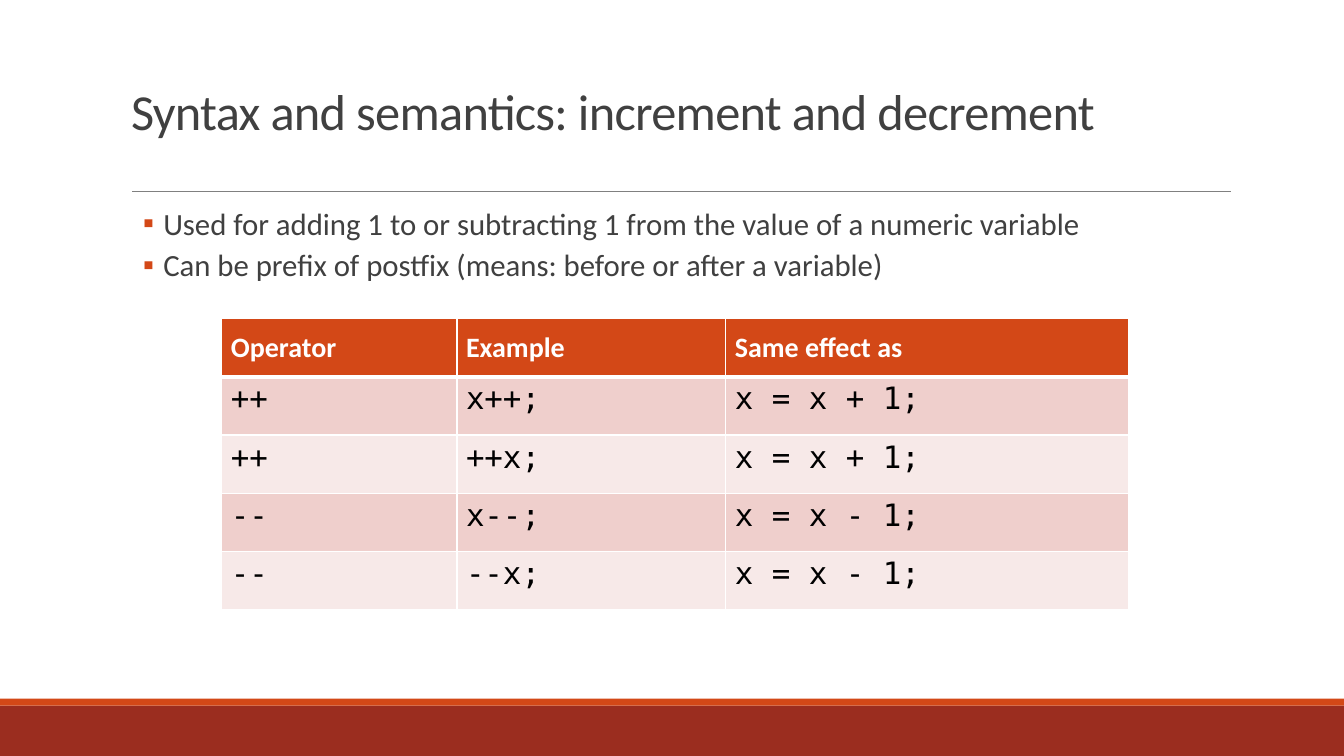
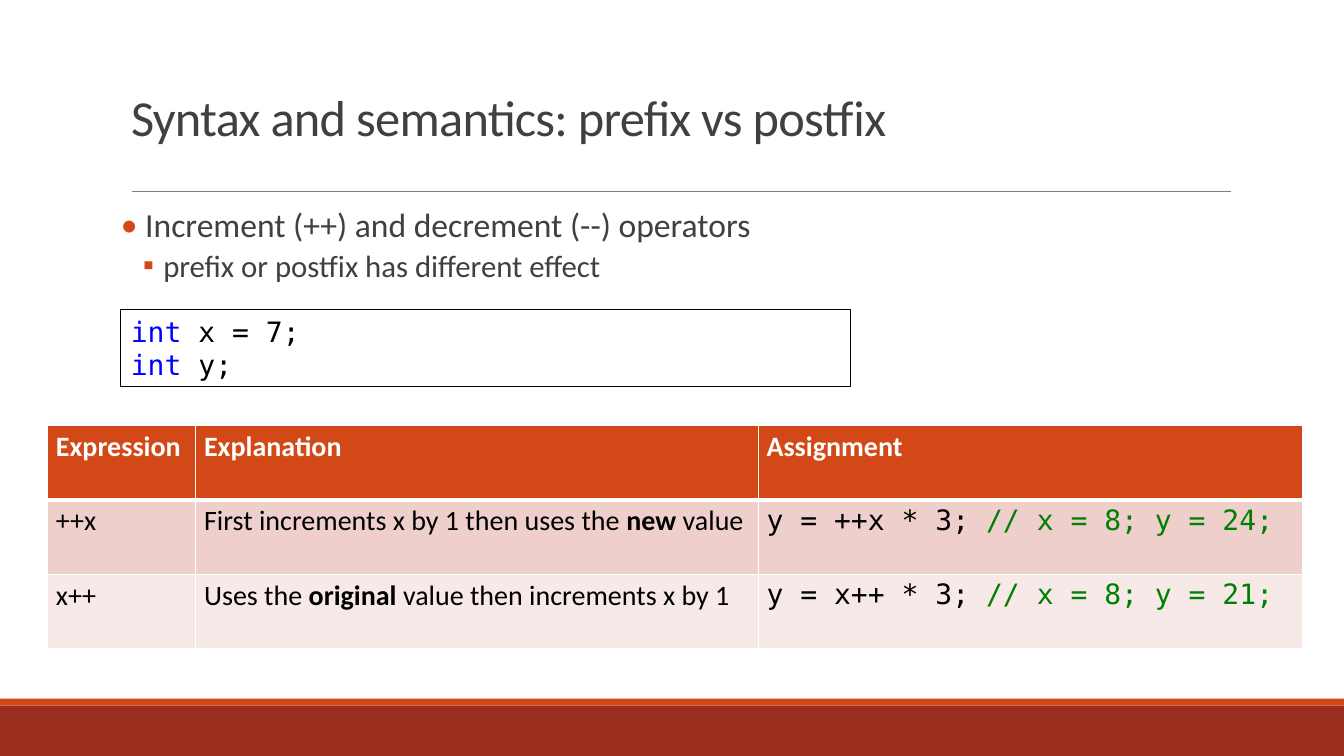
from lxml.etree import SubElement
from pptx import Presentation
from pptx.dml.color import RGBColor
from pptx.enum.shapes import MSO_CONNECTOR, MSO_SHAPE
from pptx.enum.text import MSO_ANCHOR as ANCHOR, MSO_AUTO_SIZE as AUTO, PP_ALIGN as ALIGN
from pptx.oxml.ns import qn
from pptx.util import Pt

HEX = {
    "band": "9B2D1F", "accent": "D34817", "rule": "808080", "text": "404040",
    "white": "FFFFFF", "black": "000000", "odd": "EFCFCC", "even": "F7E9E8",
    "key": "0000FF", "note": "008000",
}
SANS, MONO = "Calibri", "DejaVu Sans Mono"

# style: font, size, colour, bold
STYLES = {
    "title": (SANS, 36, "text", False),
    "top": (SANS, 24, "text", False),
    "sub": (SANS, 22, "text", False),
    "head": (SANS, 20, "white", True),
    "cell": (SANS, 20, "black", False),
    "bold": (SANS, 20, "black", True),
    "big": (MONO, 22, "black", False),
    "code": (MONO, 20, "black", False),
    "key": (MONO, 20, "key", False),
    "note": (MONO, 20, "note", False),
}

# bullet: mark, left margin, hanging indent, space before, space after
BULLETS = {"top": ("•", 7.2, 7.2, 12, 2), "sub": ("▪", 30.24, 14.4, 2, 4)}

# each paragraph or cell is a list of (text, style) runs
SLIDES = [
    {
        "title": "Syntax and semantics: increment and decrement",
        "title_h": 82,
        "body_h": 69,
        "body": [
            ("Used for adding 1 to or subtracting 1 from the value of a numeric variable", "sub"),
            ("Can be prefix of postfix (means: before or after a variable)", "sub"),
        ],
        "table": {
            "at": (158.4, 227.6), "cols": (168, 192, 287.5), "row": 41.6,
            "pad": (6.5, 3.2), "anchor": ANCHOR.MIDDLE,
            "head": ("Operator", "Example", "Same effect as"),
            "rows": [
                [[(text, "big")] for text in row] for row in (
                    ("++", "x++;", "x = x + 1;"),
                    ("++", "++x;", "x = x + 1;"),
                    ("--", "x--;", "x = x - 1;"),
                    ("--", "--x;", "x = x - 1;"),
                )
            ],
        },
    },
    {
        "title": "Syntax and semantics: prefix vs postfix",
        "title_h": 86.4,
        "body_h": 70,
        "body": [
            (" Increment (++) and decrement (--) operators", "top"),
            ("prefix or postfix has different effect", "sub"),
        ],
        "code": [
            [("int", "key"), (" x = 7;", "code")],
            [("int", "key"), (" y;", "code")],
        ],
        "table": {
            "at": (34, 304), "cols": (105.8, 401.8, 388.8), "row": 53.2,
            "pad": (6, 3), "anchor": ANCHOR.TOP,
            "head": ("Expression", "Explanation", "Assignment"),
            "rows": [
                [
                    [("++x", "cell")],
                    [("First increments x by 1 then uses the ", "cell"),
                     ("new", "bold"), (" value", "cell")],
                    [("y = ++x * 3; ", "code"), ("// x = 8; y = 24;", "note")],
                ],
                [
                    [("x++", "cell")],
                    [("Uses the ", "cell"), ("original ", "bold"),
                     ("value then increments x by 1", "cell")],
                    [("y = x++ * 3; ", "code"), ("// x = 8; y = 21;", "note")],
                ],
            ],
        },
    },
]

WIDE, HIGH = 960, 540
LEFT, SPAN = 86.4, 792
BANDS = [("band", 504, 36), ("accent", 499, 5)]
RULE = (94.4, 879.2, 136.6)


def rgb(name):
    return RGBColor.from_string(HEX[name])


def box(*sizes):
    return [Pt(size) for size in sizes]


def paint(fill, name):
    fill.solid()
    fill.fore_color.rgb = rgb(name)


def add_runs(para, runs):
    for text, style in runs:
        run = para.add_run()
        run.text = text
        font = run.font
        font.name, size, color, font.bold = STYLES[style]
        font.size = Pt(size)
        font.color.rgb = rgb(color)


def add_paras(frame, paras):
    """Write each list of runs as one paragraph and return the paragraphs."""
    for i, runs in enumerate(paras):
        add_runs(frame.add_paragraph() if i else frame.paragraphs[0], runs)
    return frame.paragraphs


def set_pad(part, x, y):
    part.margin_left = part.margin_right = Pt(x)
    part.margin_top = part.margin_bottom = Pt(y)


def add_frame(slide):
    """Draw the two bottom bands and the rule below the title."""
    for name, top, high in BANDS:
        band = slide.shapes.add_shape(MSO_SHAPE.RECTANGLE, *box(0, top, WIDE, high))
        band.shadow.inherit = False
        paint(band.fill, name)
        band.line.fill.background()
    x1, x2, y = RULE
    rule = slide.shapes.add_connector(MSO_CONNECTOR.STRAIGHT, *box(x1, y, x2, y))
    rule.line.width = Pt(0.5)
    rule.line.color.rgb = rgb("rule")
    SubElement(rule.element.spPr, qn("a:effectLst"))


def set_title(slide, text, high):
    title = slide.shapes.title
    title.left, title.top, title.width, title.height = box(LEFT, 22.3, SPAN, high)
    frame = title.text_frame
    frame.auto_size = AUTO.NONE
    frame.vertical_anchor = ANCHOR.BOTTOM
    para = add_paras(frame, [[(text, "title")]])[0]
    para.alignment = ALIGN.LEFT
    para.line_spacing = 0.85
    para.runs[0].font._element.set("spc", "-50")


def set_bullet(para, level):
    mark, left, hang, before, after = BULLETS[level]
    para.line_spacing = 0.9
    para.space_before, para.space_after = box(before, after)
    props = para._p.get_or_add_pPr()
    props.set("marL", str(Pt(left)))
    props.set("indent", str(-Pt(hang)))
    color = SubElement(props, qn("a:buClr"))
    SubElement(color, qn("a:srgbClr"), val=HEX["accent"])
    SubElement(props, qn("a:buFont"), typeface=SANS)
    SubElement(props, qn("a:buChar"), char=mark)


def add_body(slide, items, high):
    frame = slide.shapes.add_textbox(*box(LEFT, 145.4, SPAN, high)).text_frame
    frame.word_wrap = True
    set_pad(frame, 0, 3.6)
    paras = add_paras(frame, [[item] for item in items])
    for para, (_, level) in zip(paras, items):
        set_bullet(para, level)


def add_code(slide, lines):
    shape = slide.shapes.add_shape(MSO_SHAPE.RECTANGLE, *box(LEFT, 220.8, 521.3, 55.4))
    shape.shadow.inherit = False
    shape.fill.background()
    shape.line.color.rgb = rgb("black")
    shape.line.width = Pt(0.75)
    frame = shape.text_frame
    frame.word_wrap = True
    frame.vertical_anchor = ANCHOR.TOP
    for para in add_paras(frame, lines):
        para.alignment = ALIGN.LEFT


def set_edges(cell, row):
    """Draw white borders, thick between the head row and the first row."""
    props = cell._tc.get_or_add_tcPr()
    thick = {(0, "B"), (1, "T")}
    for side in "LRTB":
        width = Pt(3 if (row, side) in thick else 1)
        edge = SubElement(props, qn(f"a:ln{side}"), w=str(width))
        fill = SubElement(edge, qn("a:solidFill"))
        SubElement(fill, qn("a:srgbClr"), val=HEX["white"])


def add_grid(slide, data):
    cols, high = data["cols"], data["row"]
    rows = [[[(text, "head")] for text in data["head"]], *data["rows"]]
    place = box(*data["at"], sum(cols), high * len(rows))
    table = slide.shapes.add_table(len(rows), len(cols), *place).table
    table.horz_banding = False
    for col, wide in zip(table.columns, cols):
        col.width = Pt(wide)
    for r, row in enumerate(rows):
        table.rows[r].height = Pt(high)
        tint = "accent" if r == 0 else "odd" if r % 2 else "even"
        for c, runs in enumerate(row):
            cell = table.cell(r, c)
            set_pad(cell, *data["pad"])
            cell.vertical_anchor = ANCHOR.TOP if r else data["anchor"]
            set_edges(cell, r)
            paint(cell.fill, tint)
            add_runs(cell.text_frame.paragraphs[0], runs)


def main():
    deck = Presentation()
    deck.slide_width, deck.slide_height = box(WIDE, HIGH)
    for data in SLIDES:
        slide = deck.slides.add_slide(deck.slide_layouts[5])
        add_frame(slide)
        set_title(slide, data["title"], data["title_h"])
        add_body(slide, data["body"], data["body_h"])
        add_grid(slide, data["table"])
        if "code" in data:
            add_code(slide, data["code"])
    deck.save("out.pptx")


if __name__ == "__main__":
    main()
